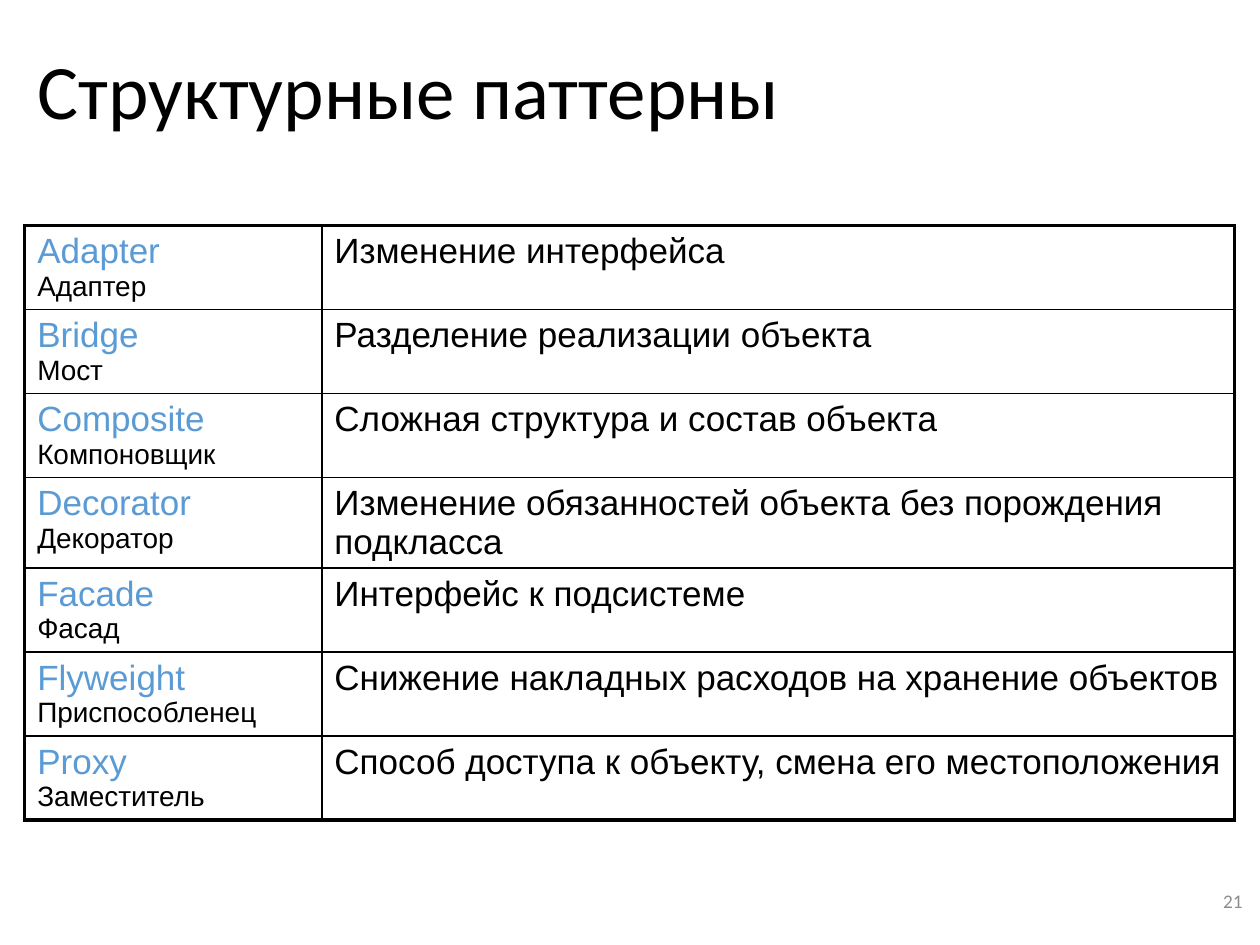
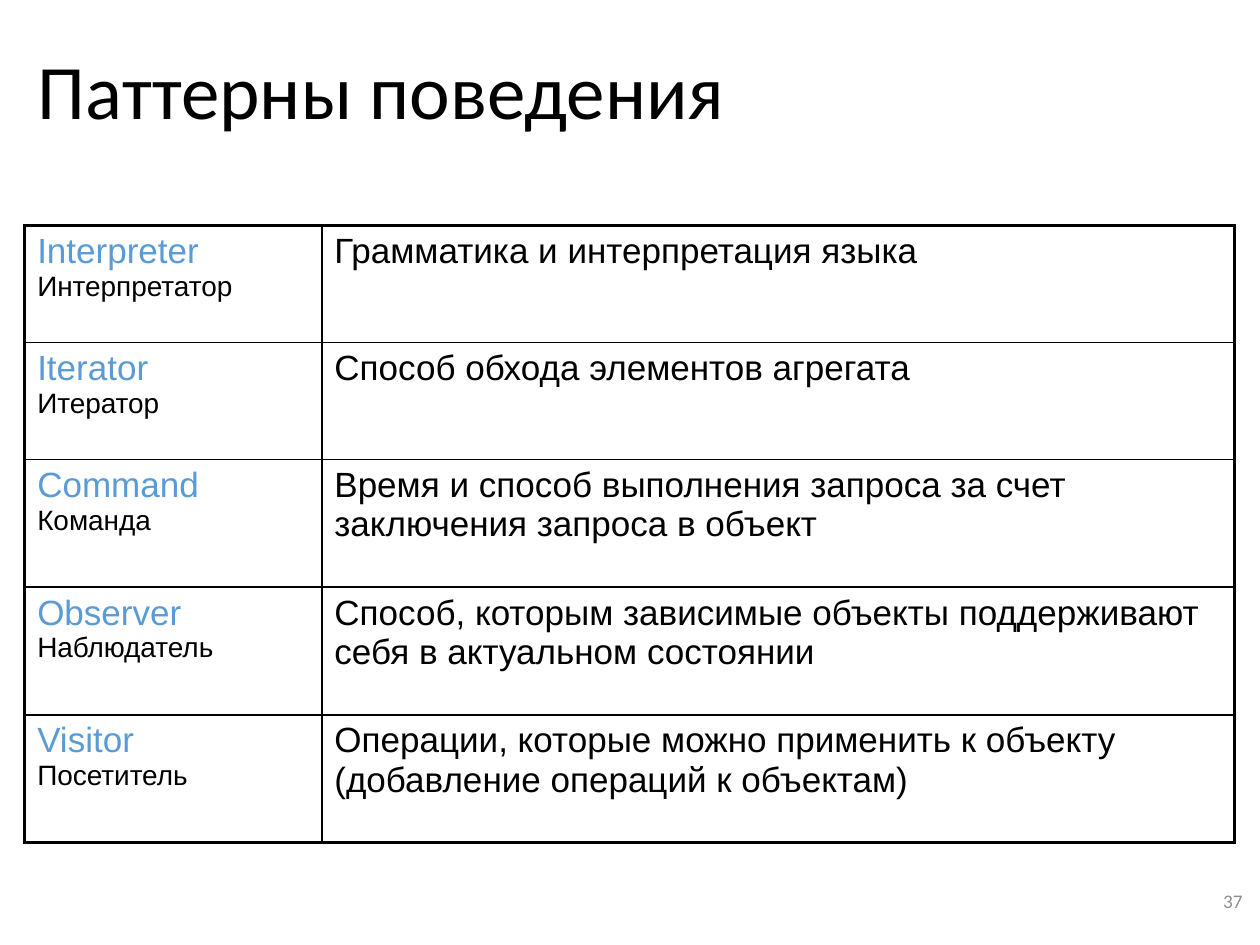
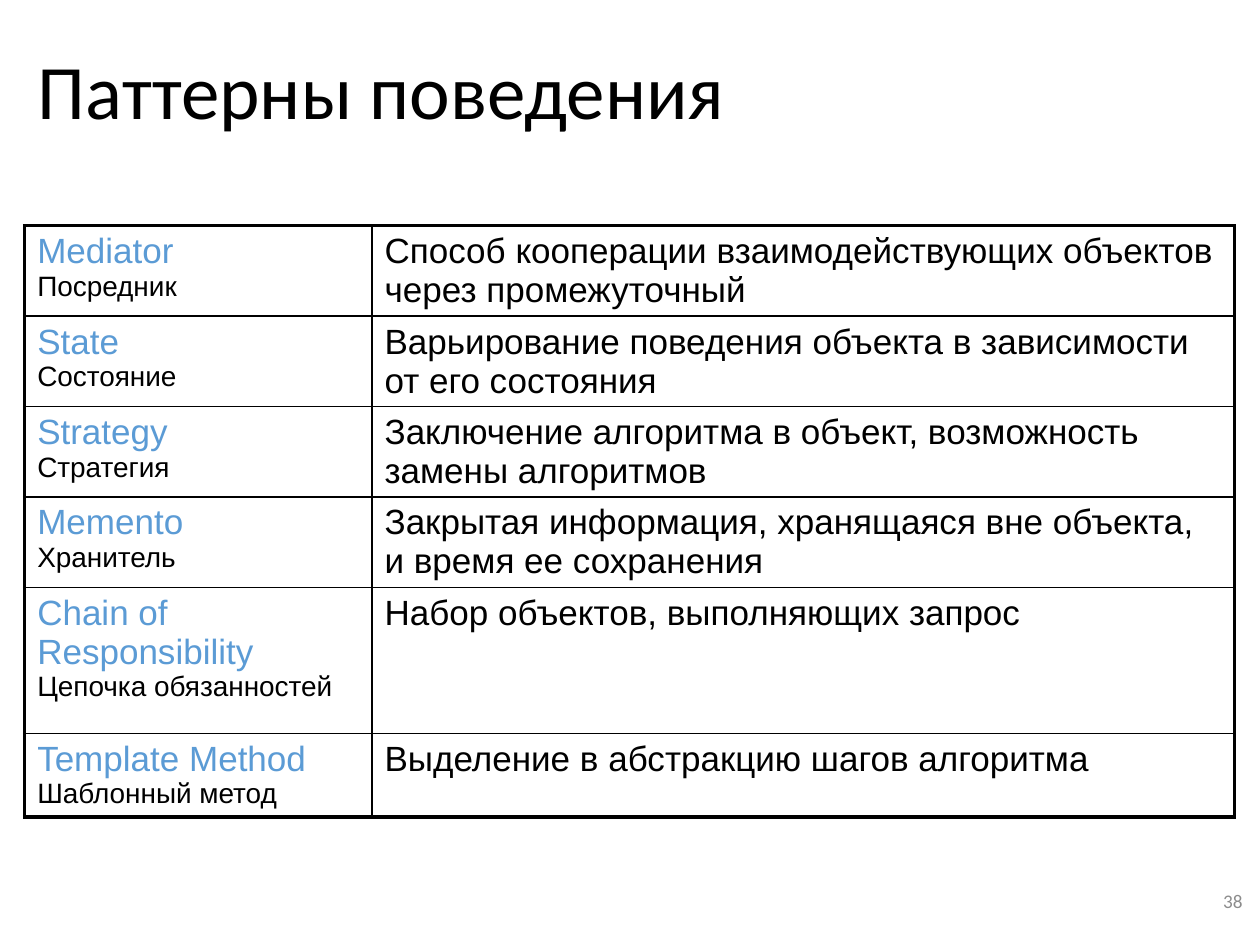
from lxml import etree
from pptx import Presentation
from pptx.dml.color import RGBColor
from pptx.enum.text import MSO_ANCHOR, PP_ALIGN
from pptx.oxml.ns import qn
from pptx.util import Pt

LEFT = PP_ALIGN.LEFT
RIGHT = PP_ALIGN.RIGHT
MIDDLE = MSO_ANCHOR.MIDDLE

COLORS = {"ink": "000000", "pattern": "5B9BD5", "number": "8C8C8C"}

TITLE_FONT = {"name": "Calibri", "size": Pt(44), "bold": False}
NUMBER_FONT = {"name": "Calibri", "size": Pt(11)}
PATTERN_FONT = {"name": "Arial", "size": Pt(20), "bold": False}
TRANSLATION_FONT = {"name": "Arial", "size": Pt(16), "bold": False}

TITLE_BOX = (14.4, 0, 691.2, 108.2)
NUMBER_BOX = (549.4, 496.8, 167.8, 36)
TABLE_BOX = (14.1, 129, 691.5)
OUTER_LINE = 2.25
INNER_LINE = 1

SLIDES = [
    {
        "title": "Структурные паттерны",
        "number": "21",
        "name_width": 169.8,
        "rows": [
            (48, "Adapter", "Адаптер", "Изменение интерфейса"),
            (48, "Bridge", "Мост", "Разделение реализации объекта"),
            (48, "Composite", "Компоновщик", "Сложная структура и состав объекта"),
            (48, "Decorator", "Декоратор",
             "Изменение обязанностей объекта без порождения подкласса"),
            (48, "Facade", "Фасад", "Интерфейс к подсистеме"),
            (48, "Flyweight", "Приспособленец",
             "Снижение накладных расходов на хранение объектов"),
            (48, "Proxy", "Заместитель",
             "Способ доступа к объекту, смена его местоположения"),
        ],
    },
    {
        "title": "Паттерны поведения",
        "number": "37",
        "name_width": 169.8,
        "rows": [
            (66.8, "Interpreter", "Интерпретатор", "Грамматика и интерпретация языка"),
            (66.8, "Iterator", "Итератор", "Способ обхода элементов агрегата"),
            (73, "Command", "Команда",
             "Время и способ выполнения запроса за счет заключения запроса в объект"),
            (73, "Observer", "Наблюдатель",
             "Способ, которым зависимые объекты поддерживают себя в актуальном состоянии"),
            (73, "Visitor", "Посетитель",
             "Операции, которые можно применить к объекту (добавление операций к объектам)"),
        ],
    },
    {
        "title": "Паттерны поведения",
        "number": "38",
        "name_width": 198.5,
        "rows": [
            (47.7, "Mediator", "Посредник",
             "Способ кооперации взаимодействующих объектов через промежуточный"),
            (47.7, "State", "Состояние",
             "Варьирование поведения объекта в зависимости от его состояния"),
            (47.7, "Strategy", "Стратегия",
             "Заключение алгоритма в объект, возможность замены алгоритмов"),
            (47.7, "Memento", "Хранитель",
             "Закрытая информация, хранящаяся вне объекта, и время ее сохранения"),
            (83.5, "Chain of Responsibility", "Цепочка обязанностей",
             "Набор объектов, выполняющих запрос"),
            (47.7, "Template Method", "Шаблонный метод",
             "Выделение в абстракцию шагов алгоритма"),
        ],
    },
]


def set_all(target, values):
    for name, value in values.items():
        setattr(target, name, value)


def add_span(para, text, font, color):
    span = para.add_run()
    span.text = text
    set_all(span.font, font)
    span.font.color.rgb = RGBColor.from_string(COLORS[color])


def add_title(page, box, text):
    title = page.shapes.title
    set_all(title, dict(zip(("left", "top", "width", "height"), map(Pt, box))))
    set_all(title.text_frame, {"vertical_anchor": MIDDLE, "word_wrap": True})
    para = title.text_frame.paragraphs[0]
    set_all(para, {"alignment": LEFT, "line_spacing": 0.9})
    add_span(para, text, TITLE_FONT, "ink")


def add_page_number(page, box, text):
    frame = page.shapes.add_textbox(*map(Pt, box)).text_frame
    set_all(frame, {"vertical_anchor": MIDDLE, "word_wrap": True})
    para = frame.paragraphs[0]
    para.alignment = RIGHT
    add_span(para, text, NUMBER_FONT, "number")


def add_borders(cell, widths):
    properties = cell._tc.get_or_add_tcPr()
    for side, width in widths.items():
        line = etree.SubElement(properties, qn(f"a:ln{side}"), w=str(Pt(width)))
        fill = etree.SubElement(line, qn("a:solidFill"))
        etree.SubElement(fill, qn("a:srgbClr"), val=COLORS["ink"])


def add_pattern_table(page, box, name_width, rows):
    left, top, width = box
    height = sum(row[0] for row in rows)
    table = page.shapes.add_table(
        len(rows), 2, Pt(left), Pt(top), Pt(width), Pt(height)).table
    set_all(table, {"first_row": False, "horz_banding": False})
    table.columns[0].width = Pt(name_width)
    table.columns[1].width = Pt(width - name_width)
    last = len(rows) - 1
    for index, (row_height, pattern, translation, purpose) in enumerate(rows):
        table.rows[index].height = Pt(row_height)
        name_cell, purpose_cell = table.cell(index, 0), table.cell(index, 1)
        name_para = name_cell.text_frame.paragraphs[0]
        add_span(name_para, pattern, PATTERN_FONT, "pattern")
        name_para.add_line_break()
        add_span(name_para, translation, TRANSLATION_FONT, "ink")
        add_span(purpose_cell.text_frame.paragraphs[0], purpose, PATTERN_FONT, "ink")
        for cell, outer_side in ((name_cell, "L"), (purpose_cell, "R")):
            outer = {outer_side: True, "T": index == 0, "B": index == last}
            add_borders(cell, {side: OUTER_LINE if outer.get(side) else INNER_LINE
                               for side in "LRTB"})
            cell.fill.background()
            cell.margin_bottom = Pt(0)


def add_pattern_slide(deck, content):
    page = deck.slides.add_slide(deck.slide_layouts[5])
    add_page_number(page, NUMBER_BOX, content["number"])
    add_title(page, TITLE_BOX, content["title"])
    add_pattern_table(page, TABLE_BOX, content["name_width"], content["rows"])


def main():
    deck = Presentation()
    set_all(deck, {"slide_width": Pt(720), "slide_height": Pt(540)})
    for content in SLIDES:
        add_pattern_slide(deck, content)
    deck.save("out.pptx")


if __name__ == "__main__":
    main()
